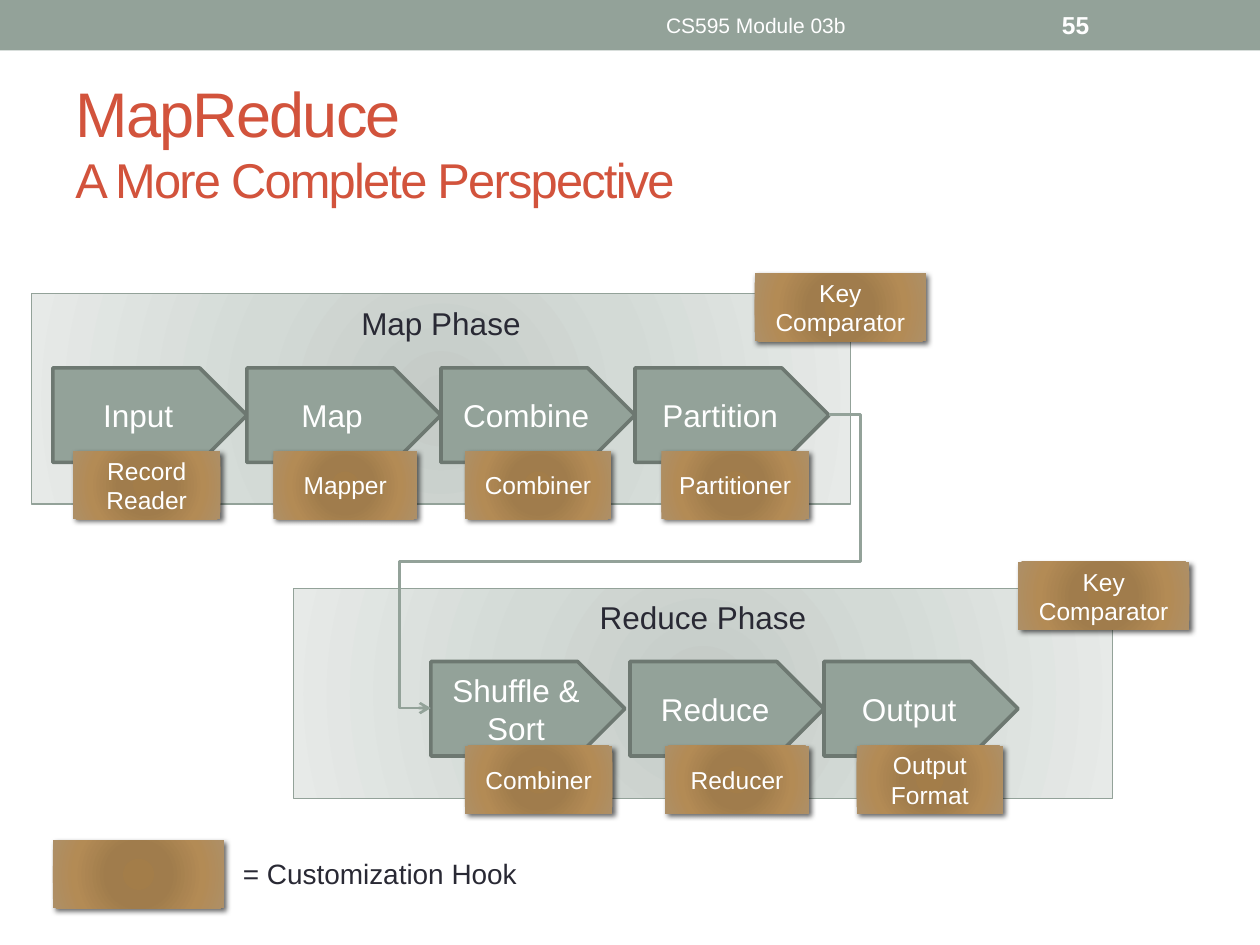
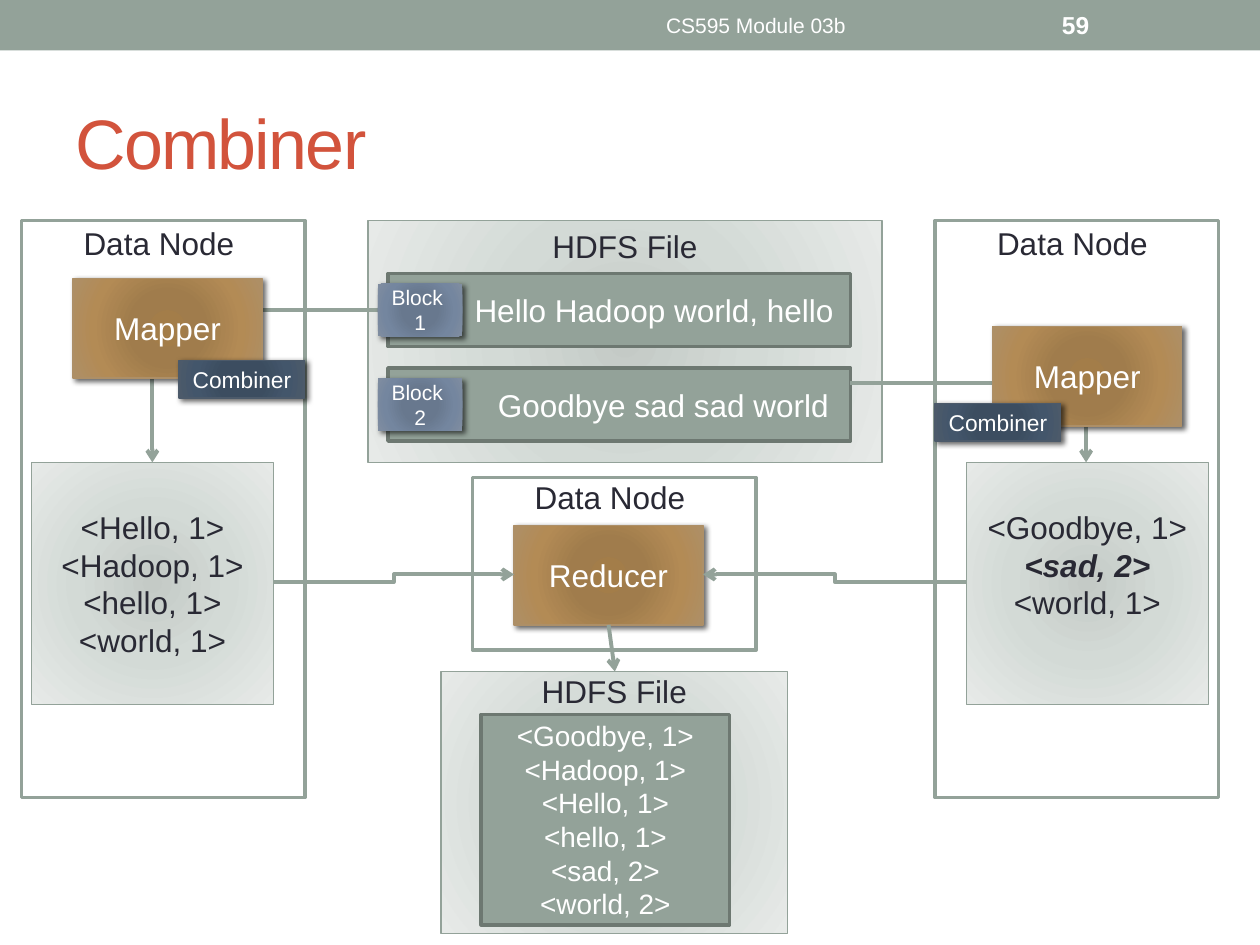
from lxml.etree import SubElement
from pptx import Presentation
from pptx.dml.color import RGBColor
from pptx.enum.shapes import MSO_CONNECTOR, MSO_SHAPE
from pptx.enum.text import MSO_ANCHOR, PP_ALIGN
from pptx.oxml.ns import qn
from pptx.util import Inches, Pt

FONT = "Arial"
WHITE = "FFFFFF"
DARK = "292934"
RED = "D2533C"
SAGE = "93A299"
SAGE_DARK = "6D7871"

# Gradient stops as (position in percent, colour), from the centre outwards
PALE = [(0, "C4CAC6"), (45, "D3DAD6"), (100, "E7EAE8")]
BRONZE = [(0, "A37D49"), (34, "A07C4C"), (70, "B38B55"), (100, "AD8F67")]
BLUE = [(0, "677790"), (34, "68788E"), (70, "74869F"), (100, "808DA0")]
NAVY = [(0, "3B4D61"), (34, "3C4D60"), (70, "43566B"), (100, "4C5A6A")]

STEP_WIDTH = 1.54


def color(hex_code):
    return RGBColor.from_string(hex_code)


def write(frame, text, size=18, color_hex=WHITE, bold=False, align=PP_ALIGN.CENTER,
          anchor=MSO_ANCHOR.MIDDLE, inset_left=0.1, inset_top=0.05, inset_bottom=0.05,
          spacing=None):
    """Fill a text frame, one paragraph per line of text; insets are in inches."""
    frame.word_wrap = True
    frame.vertical_anchor = anchor
    frame.margin_left, frame.margin_top = Inches(inset_left), Inches(inset_top)
    frame.margin_bottom = Inches(inset_bottom)
    for index, line in enumerate(text.split("\n")):
        paragraph = frame.paragraphs[0] if index == 0 else frame.add_paragraph()
        paragraph.alignment = align
        run = paragraph.add_run()
        run.text = line
        font = run.font
        font.name, font.size, font.bold = FONT, Pt(size), bold
        font.color.rgb = color(color_hex)
        if spacing is not None:
            run._r.get_or_add_rPr().set("spc", str(spacing * 100))
    return frame.paragraphs


def fill_radial(shape, stops):
    """Replace the fill with a circular gradient that spreads from the centre."""
    shape.fill.solid()
    properties = shape._element.spPr
    solid = properties.find(qn("a:solidFill"))
    gradient = SubElement(properties, qn("a:gradFill"), rotWithShape="1")
    stop_list = SubElement(gradient, qn("a:gsLst"))
    for position, hex_code in stops:
        stop = SubElement(stop_list, qn("a:gs"), pos=str(position * 1000))
        SubElement(stop, qn("a:srgbClr"), val=hex_code)
    circle = SubElement(gradient, qn("a:path"))
    circle.set("path", "circle")
    SubElement(circle, qn("a:fillToRect"), l="100000", t="100000", r="100000", b="100000")
    properties.replace(solid, gradient)


def add_shadow(shape):
    effects = shape._element.spPr.find(qn("a:effectLst"))
    shadow = SubElement(effects, qn("a:outerShdw"), blurRad=str(Pt(3)), dist=str(Pt(2)),
                        dir="2700000", rotWithShape="0")
    black = SubElement(shadow, qn("a:srgbClr"), val="000000")
    SubElement(black, qn("a:alpha"), val="60000")


class Deck:
    """Holds the presentation, its shared style and the current slide."""

    def __init__(self):
        self.presentation = Presentation()
        self.presentation.slide_width = Inches(10)
        self.presentation.slide_height = Inches(7.5)
        self.slide = None

    def start_slide(self, number):
        self.slide = self.presentation.slides.add_slide(self.presentation.slide_layouts[6])
        self.box(0, 0, 10, 0.4, SAGE)
        self.label(3.75, 0.02, 4.5, 0.36, "CS595 Module 03b", size=12)
        self.label(8.33, 0.02, 1.17, 0.36, str(number), size=14, bold=True,
                   align=PP_ALIGN.LEFT)

    def label(self, left, top, width, height, text, **text_format):
        box = self.slide.shapes.add_textbox(*map(Inches, (left, top, width, height)))
        return write(box.text_frame, text, **text_format)

    def title(self, text, size):
        return self.label(0.5, 0.58, 9, 1.08, text, size=size, color_hex=RED,
                          align=PP_ALIGN.LEFT, spacing=-1)

    def box(self, left, top, width, height, fill, text="", line=None, line_width=0.75,
            kind=MSO_SHAPE.RECTANGLE, **text_format):
        """Draw a preset shape; fill is a hex string or a list of gradient stops."""
        shape = self.slide.shapes.add_shape(kind, *map(Inches, (left, top, width, height)))
        shape.shadow.inherit = False
        if isinstance(fill, str):
            shape.fill.solid()
            shape.fill.fore_color.rgb = color(fill)
        else:
            fill_radial(shape, fill)
        if line:
            shape.line.color.rgb = color(line)
            shape.line.width = Pt(line_width)
        else:
            shape.line.fill.background()
        if text:
            write(shape.text_frame, text, **text_format)
        return shape

    def panel(self, left, top, width, height, text, **text_format):
        return self.box(left, top, width, height, PALE, text, line=SAGE,
                        color_hex=DARK, **text_format)

    def headed_panel(self, left, top, width, height, text, inset):
        self.panel(left, top, width, height, text, anchor=MSO_ANCHOR.TOP, inset_top=inset)

    def data_node(self, left, top, height, inset):
        self.box(left, top, 2.25, height, WHITE, "Data Node ", line=SAGE, line_width=2.08,
                 color_hex=DARK, anchor=MSO_ANCHOR.TOP, inset_top=inset)

    def solid_box(self, left, top, width, height, text, **options):
        self.box(left, top, width, height, SAGE, text, line=SAGE_DARK, line_width=2.08,
                 **options)

    def step(self, left, top, text):
        self.solid_box(left, top, STEP_WIDTH, 0.75, text, kind=MSO_SHAPE.PENTAGON)

    def raised_box(self, left, top, width, height, text, fill=BRONZE, **options):
        add_shadow(self.box(left, top, width, height, fill, text, **options))

    def hook(self, left, top, width, text=""):
        self.raised_box(left, top, width, 0.54, text, size=14)

    def worker(self, left, top, text):
        self.raised_box(left, top, 1.5, 0.79, text, line=BRONZE[-1][1])

    def arrow(self, start, end, preset="line", width=2.25, adjustments=()):
        kind = MSO_CONNECTOR.STRAIGHT if preset == "line" else MSO_CONNECTOR.ELBOW
        connector = self.slide.shapes.add_connector(kind, *map(Inches, (*start, *end)))
        connector.line.color.rgb = color(SAGE)
        connector.line.width = Pt(width)
        properties = connector._element.spPr
        geometry = properties.find(qn("a:prstGeom"))
        geometry.set("prst", preset)
        for index, value in enumerate(adjustments, 1):
            SubElement(geometry.find(qn("a:avLst")), qn("a:gd"), name=f"adj{index}",
                       fmla=f"val {value}")
        SubElement(properties.find(qn("a:ln")), qn("a:tailEnd"), type="arrow")
        SubElement(properties, qn("a:effectLst"))


def build_perspective(deck):
    deck.start_slide(55)
    deck.headed_panel(2.33, 4.67, 6.5, 1.67, "Reduce Phase", 0.08)
    deck.headed_panel(0.25, 2.33, 6.5, 1.67, "Map Phase", 0.08)
    heading = deck.title("MapReduce\nA More Complete Perspective", 36)
    heading[1].runs[0].font.size = Pt(27.9)

    for index, text in enumerate(["Input", "Map", "Combine", "Partition"]):
        deck.step(0.42 + index * STEP_WIDTH, 2.92, text)
    for left, text in [(5, "Reduce"), (6.54, "Output"), (3.42, "Shuffle & Sort")]:
        deck.step(left, 5.25, text)
    deck.arrow((6.58, 3.29), (3.42, 5.62), "bentConnector5", 1.5, (-7900, 50000, 107900))

    for left, top, width, text in [
        (0.58, 3.58, 1.17, "Record\nReader"),
        (2.17, 3.58, 1.14, "Mapper"),
        (3.69, 3.58, 1.16, "Combiner"),
        (5.25, 3.58, 1.17, "Partitioner"),
        (3.69, 5.92, 1.17, "Combiner"),
        (5.28, 5.92, 1.14, "Reducer"),
        (6.8, 5.92, 1.16, "Output Format"),
        (5.99, 2.17, 1.36, "Key Comparator"),
        (8.08, 4.46, 1.36, "Key Comparator"),
        (0.42, 6.67, 1.36, ""),
    ]:
        deck.hook(left, top, width, text)
    deck.label(1.83, 6.75, 2.68, 0.37, "= Customization Hook", size=16, color_hex=DARK,
               align=PP_ALIGN.LEFT)


def build_combiner(deck):
    deck.start_slide(59)
    deck.data_node(3.75, 3.79, 1.37, 0)
    for left in (7.42, 0.17):
        deck.data_node(left, 1.75, 4.58, 0.03)
    deck.title("Combiner", 40)

    deck.headed_panel(2.92, 1.75, 4.08, 1.92, "HDFS File", 0.05)
    deck.solid_box(3.08, 2.17, 3.67, 0.58, "Hello Hadoop world, hello", inset_left=0.65)
    deck.solid_box(3.08, 2.92, 3.67, 0.58, "Goodbye sad sad world", inset_left=0.8)
    deck.panel(0.25, 3.67, 1.92, 1.92, "<Hello, 1>\n<Hadoop, 1>\n<hello, 1>\n<world, 1>")
    pairs = deck.panel(7.67, 3.67, 1.92, 1.92, "<Goodbye, 1>\n<sad, 2>\n<world, 1>",
                       inset_bottom=0.35)
    combined_pair = pairs.text_frame.paragraphs[1].runs[0].font
    combined_pair.bold = combined_pair.italic = True
    deck.headed_panel(3.5, 5.33, 2.75, 2.08, "HDFS File", 0)

    deck.arrow((3.08, 2.46), (1.21, 3.67), "bentConnector2")
    deck.arrow((6.75, 3.04), (8.62, 3.67), "bentConnector2")
    deck.worker(4.08, 4.17, "Reducer")
    deck.worker(0.58, 2.21, "Mapper")
    deck.worker(7.88, 2.59, "Mapper")
    deck.arrow((2.17, 4.62), (4.08, 4.56), "bentConnector3")
    deck.arrow((7.67, 4.62), (5.58, 4.56), "bentConnector3")
    deck.solid_box(3.82, 5.67, 1.97, 1.67, "<Goodbye, 1>\n<Hadoop, 1>\n<Hello, 1>\n"
                   "<hello, 1>\n<sad, 2>\n<world, 2>", size=16)
    deck.arrow((4.83, 4.96), (4.88, 5.33))

    for number, top in enumerate((2.25, 3), 1):
        deck.raised_box(3, top, 0.67, 0.42, f"Block \n{number}", fill=BLUE, size=12)
    for left, top in [(1.42, 2.86), (7.42, 3.2)]:
        deck.raised_box(left, top, 1, 0.3, "Combiner", fill=NAVY, line=NAVY[-1][1], size=13)


def main():
    deck = Deck()
    build_perspective(deck)
    build_combiner(deck)
    deck.presentation.save("out.pptx")


if __name__ == "__main__":
    main()
